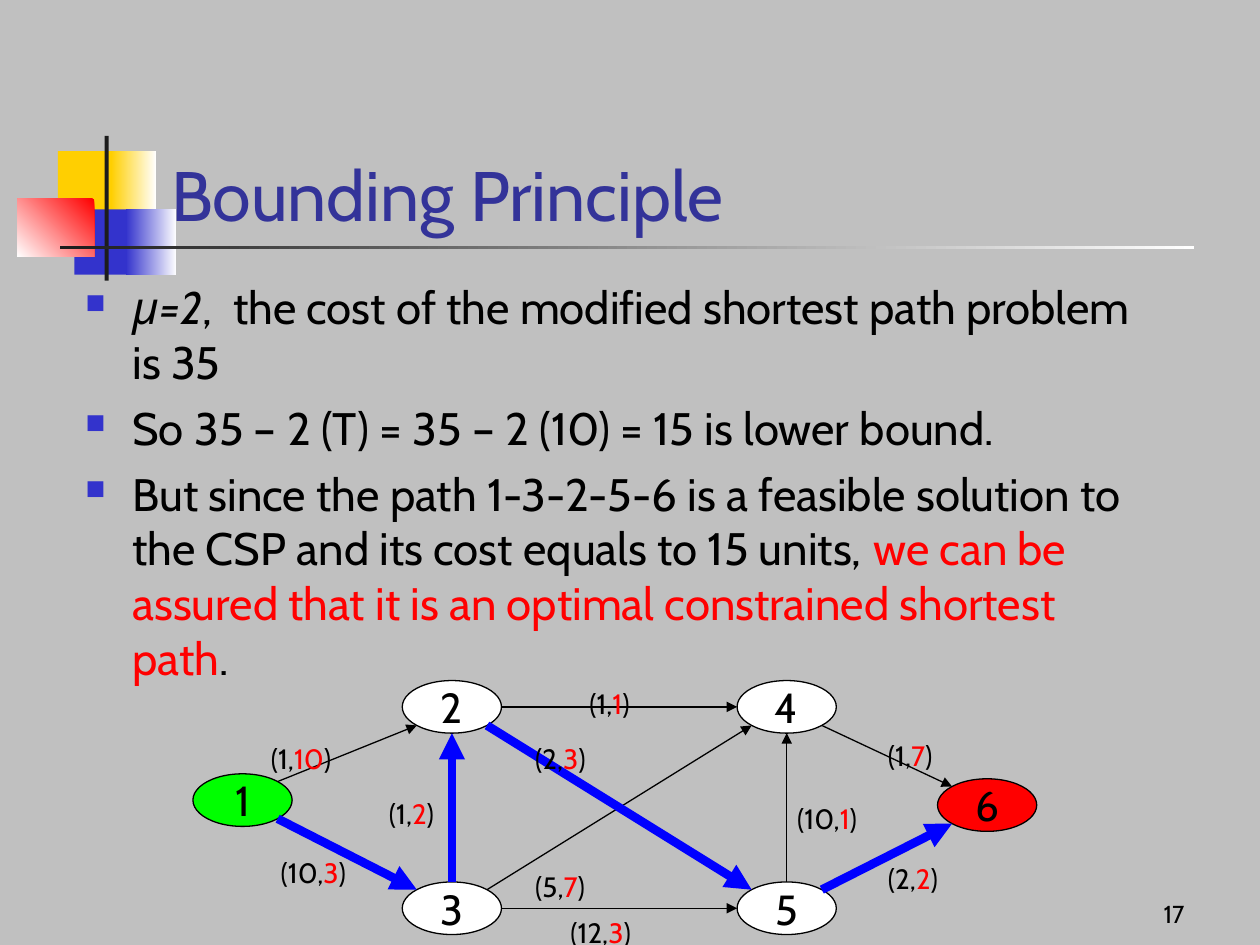
import math

from lxml import etree
from pptx import Presentation
from pptx.dml.color import RGBColor
from pptx.enum import shapes, text
from pptx.oxml import ns
from pptx.util import Cm, Pt

BLACK = RGBColor(0x00, 0x00, 0x00)
WHITE = RGBColor(0xFF, 0xFF, 0xFF)
RED = RGBColor(0xFF, 0x00, 0x00)
GREEN = RGBColor(0x00, 0xFF, 0x00)
BLUE = RGBColor(0x00, 0x00, 0xFF)
GRAY = RGBColor(0xC0, 0xC0, 0xC0)
CHARCOAL = RGBColor(0x1C, 0x1C, 0x1C)
GOLD = RGBColor(0xFF, 0xCF, 0x01)
INDIGO = RGBColor(0x33, 0x33, 0xCC)
TITLE_BLUE = RGBColor(0x33, 0x33, 0x99)
FONT = "Cabin"


def add_runs(paragraph, size, runs):
    """Add (wording, colour) pairs as runs of one size."""
    for wording, color in runs:
        run = paragraph.add_run()
        run.text = wording
        run.font.name = FONT
        run.font.size = Pt(size)
        run.font.color.rgb = color


def add_text_frame(left, top, width, height, wrap=True):
    frame = slide.shapes.add_textbox(Cm(left), Cm(top), Cm(width), Cm(height)).text_frame
    frame.word_wrap = wrap
    return frame


presentation = Presentation()
presentation.slide_width = Cm(25.4)
presentation.slide_height = Cm(19.05)
slide = presentation.slides.add_slide(presentation.slide_layouts[6])
slide.background.fill.solid()
slide.background.fill.fore_color.rgb = GRAY

# Corner ornament: left, top, width, height, colours, gradient angle
ornament = [
    (1.17, 3.05, 1.22, 1.32, [GOLD], None),
    (2.24, 3.05, 0.91, 1.32, [WHITE, GOLD], 180),
    (1.5, 4.22, 1.17, 1.32, [INDIGO], None),
    (2.54, 4.22, 1.02, 1.32, [WHITE, INDIGO], 180),
    (0.35, 4.01, 1.55, 1.17, [RED, WHITE], 225),
    (2.11, 2.74, 0.08, 2.92, [CHARCOAL], None),
    (1.22, 4.95, 22.86, 0.08, [WHITE, CHARCOAL], 180),
]
for left, top, width, height, colors, angle in ornament:
    block = slide.shapes.add_shape(
        shapes.MSO_SHAPE.RECTANGLE, Cm(left), Cm(top), Cm(width), Cm(height))
    block.shadow.inherit = False
    block.line.fill.background()
    if angle is None:
        block.fill.solid()
        block.fill.fore_color.rgb = colors[0]
    else:
        block.fill.gradient()
        block.fill.gradient_angle = angle
        for stop, color in zip(block.fill.gradient_stops, colors):
            stop.color.rgb = color

# Title
title = add_text_frame(3.2, 1.7, 21.64, 3.18)
title.vertical_anchor = text.MSO_ANCHOR.BOTTOM
add_runs(title.paragraphs[0], 40, [("Bounding Principle", TITLE_BLUE)])

# Bulleted argument
bullets = [
    [("μ=2", BLACK), (",  the cost of the modified shortest path problem is 35", BLACK)],
    [("So 35 – 2 (T) = 35 – 2 (10) = 15 is lower bound.", BLACK)],
    [("But since the path 1-3-2-5-6 is a feasible solution to the CSP "
      "and its cost equals to 15 units, ", BLACK),
     ("we can be assured that it is an optimal constrained shortest path", RED),
     (".", BLACK)],
]
body = add_text_frame(1.47, 5.51, 21.59, 11.43)
for index, runs in enumerate(bullets):
    paragraph = body.add_paragraph() if index else body.paragraphs[0]
    paragraph.space_before = Pt(6.5)
    add_runs(paragraph, 26, runs)
    properties = paragraph._p.get_or_add_pPr()
    properties.set("marL", str(Cm(0.95)))
    properties.set("indent", str(-Cm(0.95)))
    bullet_color = etree.SubElement(properties, ns.qn("a:buClr"))
    etree.SubElement(bullet_color, ns.qn("a:srgbClr"), val=str(INDIGO))
    etree.SubElement(properties, ns.qn("a:buSzPct"), val="60000")
    etree.SubElement(properties, ns.qn("a:buChar"), char="■")
body.paragraphs[0].runs[0].font.italic = True

# Network nodes: centre and fill
RADIUS_X, RADIUS_Y = 1, 0.53
nodes = {
    "1": (4.89, 16.13, GREEN),
    "5": (15.86, 18.31, WHITE),
    "4": (15.86, 14.25, WHITE),
    "3": (9.11, 18.31, WHITE),
    "2": (9.11, 14.25, WHITE),
    "6": (19.9, 16.23, RED),
}
for name, (x, y, color) in nodes.items():
    node = slide.shapes.add_shape(
        shapes.MSO_SHAPE.OVAL, Cm(x - RADIUS_X), Cm(y - RADIUS_Y),
        Cm(2 * RADIUS_X), Cm(2 * RADIUS_Y))
    node.shadow.inherit = False
    node.fill.solid()
    node.fill.fore_color.rgb = color
    node.line.color.rgb = BLACK
    node.line.width = Pt(0.75)
    node.text_frame.word_wrap = False
    node.text_frame.vertical_anchor = text.MSO_ANCHOR.MIDDLE
    paragraph = node.text_frame.paragraphs[0]
    paragraph.alignment = text.PP_ALIGN.CENTER
    add_runs(paragraph, 24, [(name, BLACK)])

# Arcs: start, end, leaving angle (clockwise), cost, time, label left, label top.
# Each arc enters its end node on the side opposite to the one it leaves from.
arcs = [
    ("1", "2", -45, "1", "10", 5.21, 14.83),
    ("2", "4", 0, "1", "1", 11.63, 13.72),
    ("3", "5", 0, "12", "3", 11.25, 18.34),
    ("4", "6", 45, "1", "7", 17.65, 14.76),
    ("5", "6", -45, "2", "2", 17.65, 17.25),
    ("3", "2", -90, "1", "2", 7.59, 15.93),
    ("1", "3", 45, "10", "3", 5.41, 17.12),
    ("3", "4", -45, "5", "7", 10.54, 17.4),
    ("2", "5", 45, "2", "3", 10.54, 14.83),
    ("5", "4", -90, "10", "1", 15.82, 16.03),
]
optimal_path = ["13", "32", "25", "56"]
for start, end, angle, *_ in arcs:
    offset_x = RADIUS_X * math.cos(math.radians(angle))
    offset_y = RADIUS_Y * math.sin(math.radians(angle))
    start_x, start_y, _ = nodes[start]
    end_x, end_y, _ = nodes[end]
    arc = slide.shapes.add_connector(
        shapes.MSO_CONNECTOR.STRAIGHT,
        Cm(start_x + offset_x), Cm(start_y + offset_y),
        Cm(end_x - offset_x), Cm(end_y - offset_y))
    on_path = start + end in optimal_path
    arc.line.color.rgb = BLUE if on_path else BLACK
    arc.line.width = Pt(5 if on_path else 0.75)
    etree.SubElement(arc.line._get_or_add_ln(), ns.qn("a:tailEnd"), type="triangle")
    etree.SubElement(arc._element.spPr, ns.qn("a:effectLst"))

for _, _, _, cost, time, left, top in arcs:
    width = 1.63 if len(cost + time) == 2 else 1.96
    label = add_text_frame(left, top, width, 0.94, wrap=False)
    add_runs(label.paragraphs[0], 16, [(f"({cost},", BLACK), (time, RED), (")", BLACK)])

# Slide number
number = add_text_frame(18.85, 17.58, 5.28, 1.27)
number.vertical_anchor = text.MSO_ANCHOR.BOTTOM
number.paragraphs[0].alignment = text.PP_ALIGN.RIGHT
add_runs(number.paragraphs[0], 14, [("17", BLACK)])

presentation.save("out.pptx")
